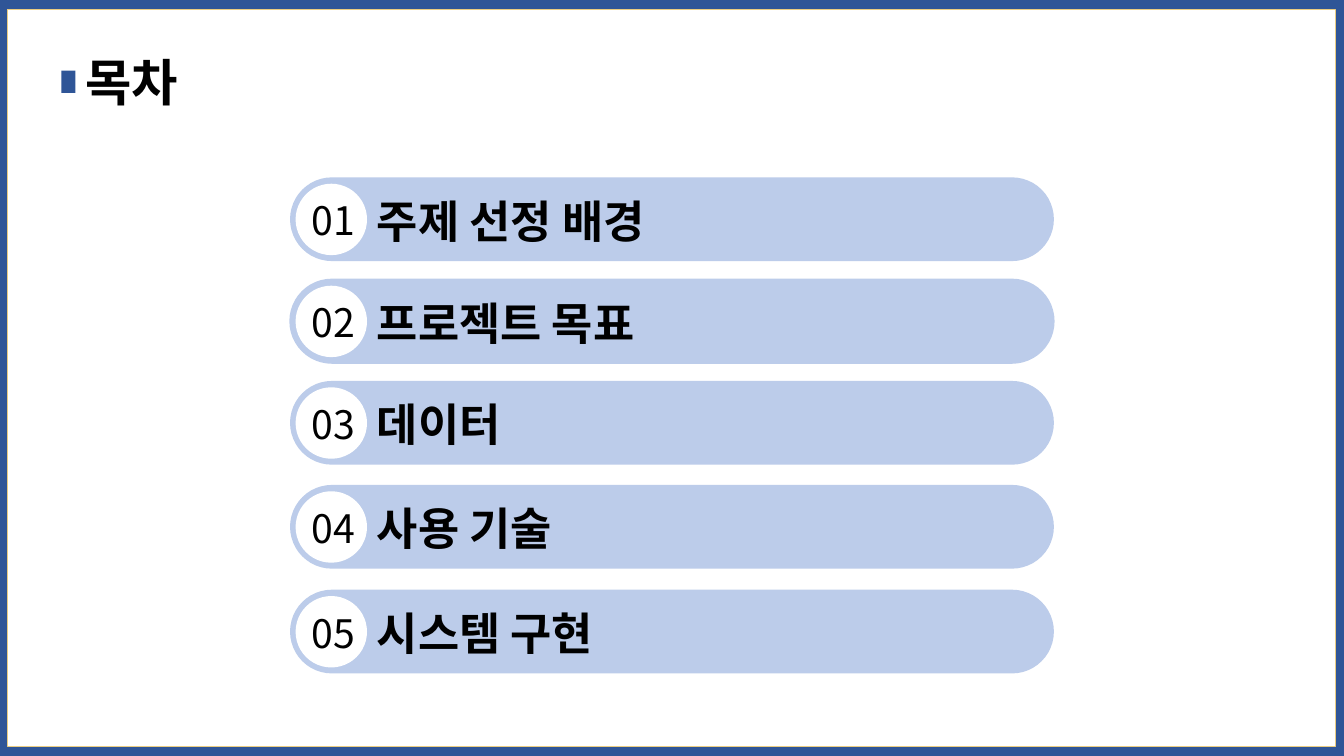
from dataclasses import dataclass

from lxml import etree
from pptx import Presentation
from pptx.dml.color import RGBColor
from pptx.enum.shapes import MSO_SHAPE
from pptx.enum.text import MSO_ANCHOR, MSO_AUTO_SIZE, PP_ALIGN
from pptx.oxml.ns import qn
from pptx.util import Cm, Pt

RECTANGLE, PILL, CIRCLE = MSO_SHAPE.RECTANGLE, MSO_SHAPE.ROUNDED_RECTANGLE, MSO_SHAPE.OVAL
TOP, LEFT, GROW = MSO_ANCHOR.TOP, PP_ALIGN.LEFT, MSO_AUTO_SIZE.SHAPE_TO_FIT_TEXT

NAVY = RGBColor(0x2F, 0x55, 0x97)
PALE_BLUE = RGBColor(0xBC, 0xCC, 0xEA)
GOLD = RGBColor(0xEA, 0xCC, 0x82)
WHITE = RGBColor(0xFF, 0xFF, 0xFF)
BLACK = RGBColor(0x00, 0x00, 0x00)
FONT = "Noto Sans CJK KR"


@dataclass(frozen=True)
class Box:
    left: float
    top: float
    width: float
    height: float

    def lengths(self) -> tuple:
        return Cm(self.left), Cm(self.top), Cm(self.width), Cm(self.height)


@dataclass(frozen=True)
class Chapter:
    title: str
    top: float
    outlined: bool = False


CHAPTERS = [
    Chapter("주제 선정 배경", 4.47),
    Chapter("프로젝트 목표", 7.04, outlined=True),
    Chapter("데이터", 9.6),
    Chapter("사용 기술", 12.22),
    Chapter("시스템 구현", 14.86),
]


def add_filled(shapes, kind, box: Box, fill: RGBColor, line: RGBColor | None = None,
               line_width: float = 1):
    shape = shapes.add_shape(kind, *box.lengths())
    shape.shadow.inherit = False
    shape.fill.solid()
    shape.fill.fore_color.rgb = fill
    if line is None:
        shape.line.fill.background()
    else:
        shape.line.color.rgb = line
        shape.line.width = Pt(line_width)
    return shape


def write(holder, text: str, size: float, bold: bool) -> None:
    """Put one left-aligned line of text in a text box or placeholder."""
    frame = holder.text_frame
    frame_format = {"word_wrap": False, "auto_size": GROW, "vertical_anchor": TOP}
    for name, value in frame_format.items():
        setattr(frame, name, value)
    paragraph = frame.paragraphs[0]
    paragraph.alignment = LEFT
    run = paragraph.add_run()
    run.text = text
    for name, value in {"name": FONT, "size": Pt(size), "bold": bold}.items():
        setattr(run.font, name, value)
    run.font.color.rgb = BLACK
    east_asian = etree.Element(qn("a:ea"), typeface=FONT)
    run.font._element.find(qn("a:latin")).addnext(east_asian)


def add_chapter(slide, number: int, chapter: Chapter) -> None:
    shapes = slide.shapes.add_group_shape().shapes
    top = chapter.top
    bar = add_filled(shapes, PILL, Box(7.31, top, 19.25, 2.11), PALE_BLUE,
                     PALE_BLUE if chapter.outlined else None)
    bar.adjustments[0] = 0.5
    add_filled(shapes, CIRCLE, Box(7.45, top + 0.16, 1.8, 1.8), WHITE)
    title = shapes.add_textbox(*Box(9.25, top + 0.28, 8.41, 1.62).lengths())
    write(title, chapter.title, 32, bold=True)
    label = shapes.add_textbox(*Box(7.6, top + 0.36, 2.77, 1.45).lengths())
    write(label, f"{number:02d}", 28, bold=False)


def main() -> None:
    deck = Presentation()
    deck.slide_width, deck.slide_height = Cm(33.87), Cm(19.05)
    slide = deck.slides.add_slide(deck.slide_layouts[5])
    slide.background.fill.solid()
    slide.background.fill.fore_color.rgb = NAVY

    heading = slide.shapes.title
    panel = add_filled(slide.shapes, RECTANGLE, Box(0.2, 0.25, 33.45, 18.57),
                       WHITE, GOLD, 0.75)
    heading._element.addprevious(panel._element)
    heading_box = Box(1.9, 1.17, 2.87, 1.8).lengths()
    for name, value in zip(("left", "top", "width", "height"), heading_box):
        setattr(heading, name, value)
    write(heading, "목차", 36, bold=True)
    add_filled(slide.shapes, RECTANGLE, Box(1.55, 1.78, 0.35, 0.56), NAVY)

    for number, chapter in enumerate(CHAPTERS, start=1):
        add_chapter(slide, number, chapter)
    deck.save("out.pptx")


if __name__ == "__main__":
    main()
